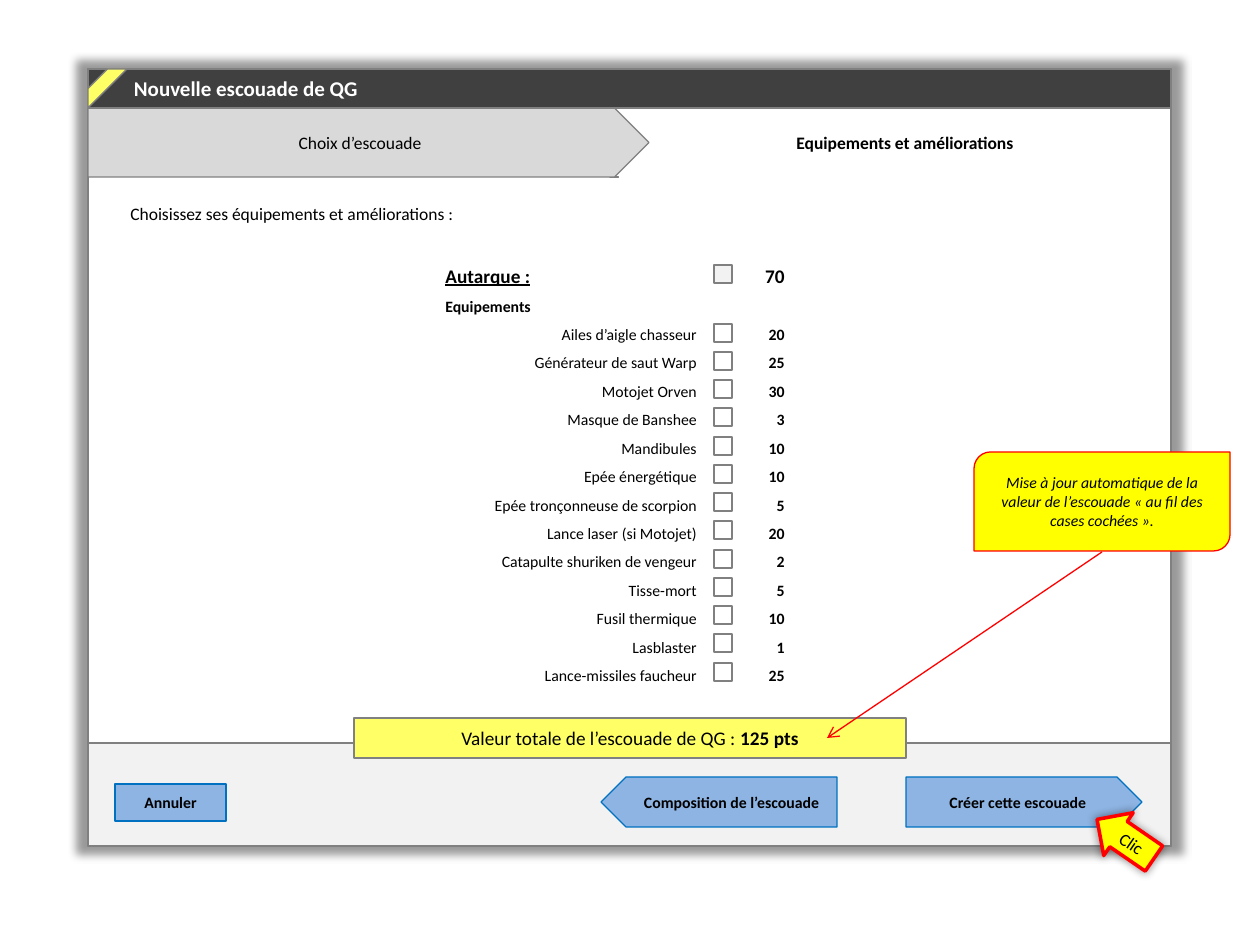
from lxml import etree
from pptx import Presentation
from pptx.dml.color import RGBColor
from pptx.enum.shapes import MSO_CONNECTOR, MSO_SHAPE
from pptx.enum.text import MSO_ANCHOR, PP_ALIGN
from pptx.oxml import parse_xml
from pptx.oxml.ns import nsdecls, qn
from pptx.util import Pt

RECT, PLATE = MSO_SHAPE.RECTANGLE, MSO_SHAPE.PENTAGON
ARROW, STRIPE = MSO_SHAPE.LEFT_ARROW, MSO_SHAPE.DIAGONAL_STRIPE
NOTE = MSO_SHAPE.ROUND_2_DIAG_RECTANGLE
LEFT, MID, RIGHT = PP_ALIGN.LEFT, PP_ALIGN.CENTER, PP_ALIGN.RIGHT
PX = 914400 / 126
GREY, BLUE, SKY, RED, YELLOW = "808080", "0070C0", "8EB4E3", "FF0000", "FFFF00"
SHADOW = (
    f'<a:effectLst {nsdecls("a")}><a:outerShdw blurRad="63500" sx="102000" '
    'sy="102000" algn="ctr" rotWithShape="0"><a:srgbClr val="000000">'
    '<a:alpha val="40000"/></a:srgbClr></a:outerShdw></a:effectLst>'
)

deck = Presentation()
deck.slide_width, deck.slide_height = round(1260 * PX), round(945 * PX)
slide = deck.slides.add_slide(deck.slide_layouts[6])


def write(para, text, size, bold=False, align=MID, color="000000"):
    para.add_run().text = text
    para.alignment = align
    font = para.font
    font.name, font.size, font.bold = "Calibri", Pt(size), bold
    font.color.rgb = RGBColor.from_string(color)


def draw(kind, box, fill, line=GREY, shadow=False):
    shape = slide.shapes.add_shape(kind, *[round(n * PX) for n in box])
    shape.fill.solid()
    shape.fill.fore_color.rgb = RGBColor.from_string(fill)
    if line:
        shape.line.color.rgb = RGBColor.from_string(line)
        shape.line.width = Pt(0.75)
    else:
        shape.line.fill.background()
    shape.shadow.inherit = False
    if shadow:
        props = shape._element.spPr
        props.replace(props.find(qn("a:effectLst")), parse_xml(SHADOW))
    frame = shape.text_frame
    frame.word_wrap = True
    frame.vertical_anchor = MSO_ANCHOR.MIDDLE
    return shape


# Window and footer
draw(RECT, (88, 69, 1083, 777), "FFFFFF", shadow=True)
draw(RECT, (88, 743, 1083, 103), "F2F2F2")

# Buttons
for kind, box, text in [
    (PLATE, (906, 777, 236, 50), "Créer cette escouade"),
    (RECT, (115, 784, 111, 37), "Annuler"),
    (ARROW, (601, 777, 236, 50), "Composition de l’escouade"),
]:
    button = draw(kind, box, SKY, BLUE)
    write(button.text_frame.paragraphs[0], text, 9, True)
    if kind == ARROW:
        button.adjustments[0] = 1

# Total
total = draw(RECT, (354, 718, 552, 40), "FFFF66").text_frame.paragraphs[0]
write(total, "Valeur totale de l’escouade de QG : ", 11)
sum_run = total.add_run()
sum_run.text = "125 pts"
sum_run.font.bold = True

# Equipment list: names, boxes and points
items = [
    ("Ailes d’aigle chasseur", 20), ("Générateur de saut Warp", 25),
    ("Motojet Orven", 30), ("Masque de Banshee", 3), ("Mandibules", 10),
    ("Epée énergétique", 10), ("Epée tronçonneuse de scorpion", 5),
    ("Lance laser (si Motojet)", 20), ("Catapulte shuriken de vengeur", 2),
    ("Tisse-mort", 5), ("Fusil thermique", 10), ("Lasblaster", 1),
    ("Lance-missiles faucheur", 25),
]
frames = []
for box in [(433, 246, 276, 449), (734, 246, 63, 449), (118, 197, 896, 34)]:
    area = slide.shapes.add_textbox(*[round(n * PX) for n in box])
    area.text_frame.word_wrap = True
    frames.append(area.text_frame)
names, points, intro = frames
write(intro.paragraphs[0], "Choisissez ses équipements et améliorations :", 10, align=LEFT)

write(names.paragraphs[0], "Autarque :", 11, True, LEFT)
names.paragraphs[0].font.underline = True
write(names.add_paragraph(), "Equipements", 9, True, LEFT)
write(points.paragraphs[0], "70", 11, True, RIGHT)
draw(RECT, (714, 265, 18, 18), "F2F2F2")
for i, (name, cost) in enumerate(items):
    write(names.add_paragraph(), name, 9, align=RIGHT)
    write(points.add_paragraph(), str(cost), 9, True, RIGHT)
    draw(RECT, (714, 324 + i * 339 // 12, 18, 18), "FFFFFF")
points.paragraphs[1].space_before = Pt(16.2)
for para in names.paragraphs + points.paragraphs:
    para.line_spacing = 1.5

# Note and its arrow
link = slide.shapes.add_connector(
    MSO_CONNECTOR.STRAIGHT, *[round(n * PX) for n in (1102, 552, 827, 738)])
link.line.color.rgb = RGBColor.from_string(RED)
link.line.width = Pt(0.75)
etree.SubElement(link.line._get_or_add_ln(), qn("a:tailEnd"), type="arrow")
etree.SubElement(link._element.spPr, qn("a:effectLst"))
note = draw(NOTE, (974, 452, 256, 99), YELLOW, RED).text_frame.paragraphs[0]
write(note, "Mise à jour automatique de la valeur de l’escouade « au fil des cases cochées ».", 9)
note.font.italic = True

# Steps
step = draw(RECT, (610, 108, 561, 69), "FFFFFF").text_frame
step.margin_left = round(41 * PX)
write(step.paragraphs[0], "Equipements et améliorations", 10, True)
step = draw(PLATE, (88, 108, 561, 69), "D9D9D9").text_frame
write(step.paragraphs[0], "Choix d’escouade", 10)
draw(RECT, (619, 176, 551, 11), "FFFFFF", None)

# Click pointer
click = draw(ARROW, (1091, 813, 69, 52), YELLOW, RED, True)
click.adjustments[0] = 0.59
click.rotation = 34.5
click.line.width = Pt(2)
write(click.text_frame.paragraphs[0], "Clic", 10)

# Title bar
title = draw(RECT, (88, 69, 1083, 39), "404040").text_frame
title.margin_left = round(46 * PX)
write(title.paragraphs[0], "Nouvelle escouade de QG", 12, True, LEFT, "FFFFFF")
draw(STRIPE, (88, 69, 39, 39), "FFFF66")

deck.save("out.pptx")
